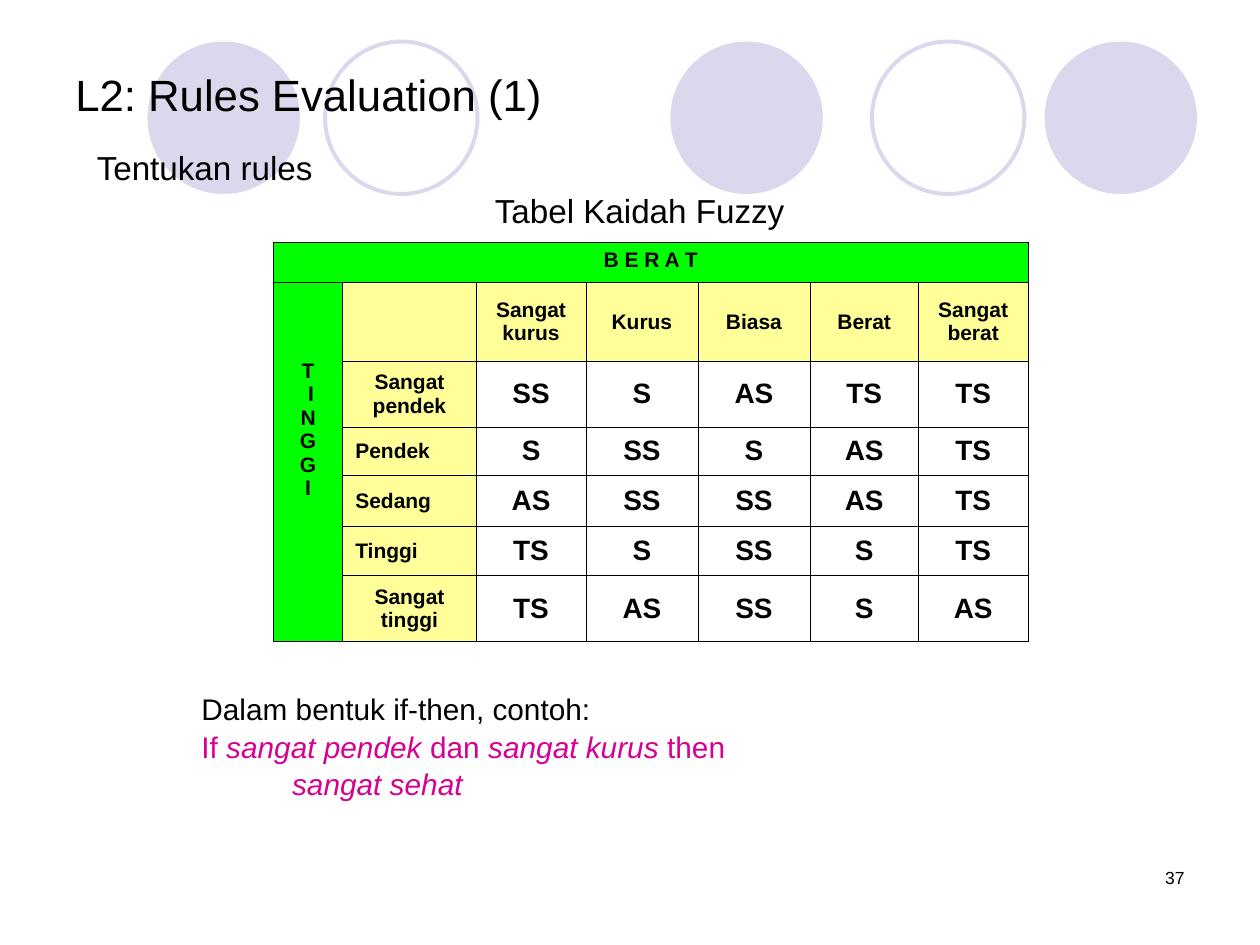
from lxml import etree
from pptx import Presentation
from pptx.dml.color import RGBColor
from pptx.enum.shapes import MSO_SHAPE
from pptx.enum.text import MSO_ANCHOR, PP_ALIGN
from pptx.oxml.ns import qn
from pptx.util import Inches, Pt

OVAL = MSO_SHAPE.OVAL
TOP, MIDDLE = MSO_ANCHOR.TOP, MSO_ANCHOR.MIDDLE
LEFT, CENTER, RIGHT = PP_ALIGN.LEFT, PP_ALIGN.CENTER, PP_ALIGN.RIGHT

BLACK = RGBColor(0x00, 0x00, 0x00)
LAVENDER = RGBColor(0xD9, 0xD8, 0xEC)
GREEN = RGBColor(0x00, 0xFF, 0x00)
YELLOW = RGBColor(0xFF, 0xFF, 0x99)
MAGENTA = RGBColor(0xD6, 0x00, 0x93)
FONT = "Arial"

COLUMN_WIDTHS = [0.55, 1.06, 0.87, 0.89, 0.89, 0.86, 0.87]
ROW_HEIGHTS = [0.32, 0.63, 0.52, 0.38, 0.41, 0.39, 0.52]
WEIGHTS = ["Sangat kurus", "Kurus", "Biasa", "Berat", "Sangat berat"]
RULES = {
    "Sangat pendek": ["SS", "S", "AS", "TS", "TS"],
    "Pendek": ["S", "SS", "S", "AS", "TS"],
    "Sedang": ["AS", "SS", "SS", "AS", "TS"],
    "Tinggi": ["TS", "S", "SS", "S", "TS"],
    "Sangat tinggi": ["TS", "AS", "SS", "S", "AS"],
}


def set_font(paragraph, size, color=BLACK, bold=False):
    font = paragraph.font
    font.name, font.size, font.bold = FONT, Pt(size), bold
    font.color.rgb = color


def add_circle(slide, left, top, filled):
    circle = slide.shapes.add_shape(
        OVAL, Inches(left), Inches(top), Inches(1.21), Inches(1.21))
    circle.shadow.inherit = False
    if filled:
        circle.fill.solid()
        circle.fill.fore_color.rgb = LAVENDER
        circle.line.fill.background()
    else:
        circle.fill.background()
        circle.line.color.rgb = LAVENDER
        circle.line.width = Pt(2.25)


def add_text_frame(slide, left, top, width, height, anchor=MIDDLE):
    box = slide.shapes.add_textbox(
        Inches(left), Inches(top), Inches(width), Inches(height))
    frame = box.text_frame
    frame.word_wrap = True
    frame.vertical_anchor = anchor
    return frame


def add_label(slide, text, place, size, align=LEFT, anchor=MIDDLE):
    paragraph = add_text_frame(slide, *place, anchor).paragraphs[0]
    paragraph.text = text
    paragraph.alignment = align
    set_font(paragraph, size)


def add_borders(cell):
    properties = cell._tc.get_or_add_tcPr()
    for side in ("a:lnL", "a:lnR", "a:lnT", "a:lnB"):
        line = etree.SubElement(properties, qn(side), w=str(Pt(0.45)))
        fill = etree.SubElement(line, qn("a:solidFill"))
        etree.SubElement(fill, qn("a:srgbClr"), val=str(BLACK))


def fill_cell(cell, text, size=12, fill=None, align=CENTER, anchor=MIDDLE):
    add_borders(cell)
    if fill is None:
        cell.fill.background()
    else:
        cell.fill.solid()
        cell.fill.fore_color.rgb = fill
    cell.vertical_anchor = anchor
    cell.text = text
    for paragraph in cell.text_frame.paragraphs:
        paragraph.alignment = align
        set_font(paragraph, size, bold=True)


def add_rule_table(slide):
    table = slide.shapes.add_table(
        len(ROW_HEIGHTS), len(COLUMN_WIDTHS), Inches(2.17), Inches(1.92),
        Inches(sum(COLUMN_WIDTHS)), Inches(sum(ROW_HEIGHTS))).table
    table.first_row = table.horz_banding = False
    for column, width in zip(table.columns, COLUMN_WIDTHS):
        column.width = Inches(width)
    for row, height in zip(table.rows, ROW_HEIGHTS):
        row.height = Inches(height)

    # Green axis titles
    for column in range(len(COLUMN_WIDTHS)):
        fill_cell(table.cell(0, column), "" if column else "B E R A T",
                  fill=GREEN, anchor=TOP)
    for row in range(1, len(ROW_HEIGHTS)):
        fill_cell(table.cell(row, 0), "T\n I\nN\nG\nG\nI" if row == 1 else "",
                  fill=GREEN, anchor=TOP)
    table.cell(1, 0).margin_top = Inches(0.61)
    table.cell(0, 0).merge(table.cell(0, len(COLUMN_WIDTHS) - 1))
    table.cell(1, 0).merge(table.cell(len(ROW_HEIGHTS) - 1, 0))

    # Weight headings
    for column, weight in enumerate([""] + WEIGHTS, start=1):
        fill_cell(table.cell(1, column), weight, fill=YELLOW)

    # Height headings and rule results; one-word headings sit at the left
    for row, (height, results) in enumerate(RULES.items(), start=2):
        fill_cell(table.cell(row, 1), height, fill=YELLOW,
                  align=CENTER if " " in height else LEFT)
        for column, result in enumerate(results, start=2):
            fill_cell(table.cell(row, column), result, size=16)


def add_example(slide):
    frame = add_text_frame(slide, 1.5, 5.25, 7, 1.33)
    # Each line: colour, left indent, (text, italic) runs
    lines = [
        (BLACK, 0, [("Dalam bentuk if-then, contoh:", False)]),
        (MAGENTA, 0, [("If ", False), ("sangat pendek", True), (" dan ", False),
                      ("sangat kurus", True), (" then", False)]),
        (MAGENTA, 0.72, [("sangat sehat", True)]),
    ]
    for index, (color, indent, runs) in enumerate(lines):
        paragraph = frame.add_paragraph() if index else frame.paragraphs[0]
        paragraph.line_spacing = 1.05
        paragraph._p.get_or_add_pPr().set("marL", str(Inches(indent)))
        set_font(paragraph, 17, color)
        for text, italic in runs:
            run = paragraph.add_run()
            run.text = text
            run.font.italic = italic


def main():
    prs = Presentation()
    prs.slide_width, prs.slide_height = Inches(10), Inches(7.5)
    slide = prs.slides.add_slide(prs.slide_layouts[6])

    # Background circles
    for left, top, filled in [(5.32, 0.33, True), (8.29, 0.33, True),
                              (1.17, 0.33, True), (6.92, 0.33, False),
                              (2.58, 0.33, False)]:
        add_circle(slide, left, top, filled)

    # Page number, title and subtitle
    add_label(slide, "37", (7.17, 6.83, 2.33, 0.5), 10, RIGHT, TOP)
    add_label(slide, "L2: Rules Evaluation (1)", (0.5, 0.5, 9, 0.5), 25)
    add_label(slide, "Tentukan rules", (0.67, 1.08, 8.67, 0.5), 19)

    # Fuzzy rule table with its caption
    add_rule_table(slide)
    add_label(slide, "Tabel Kaidah Fuzzy", (3.83, 1.5, 3, 0.33), 19)

    # If-then example
    add_example(slide)

    prs.save("out.pptx")


if __name__ == "__main__":
    main()
